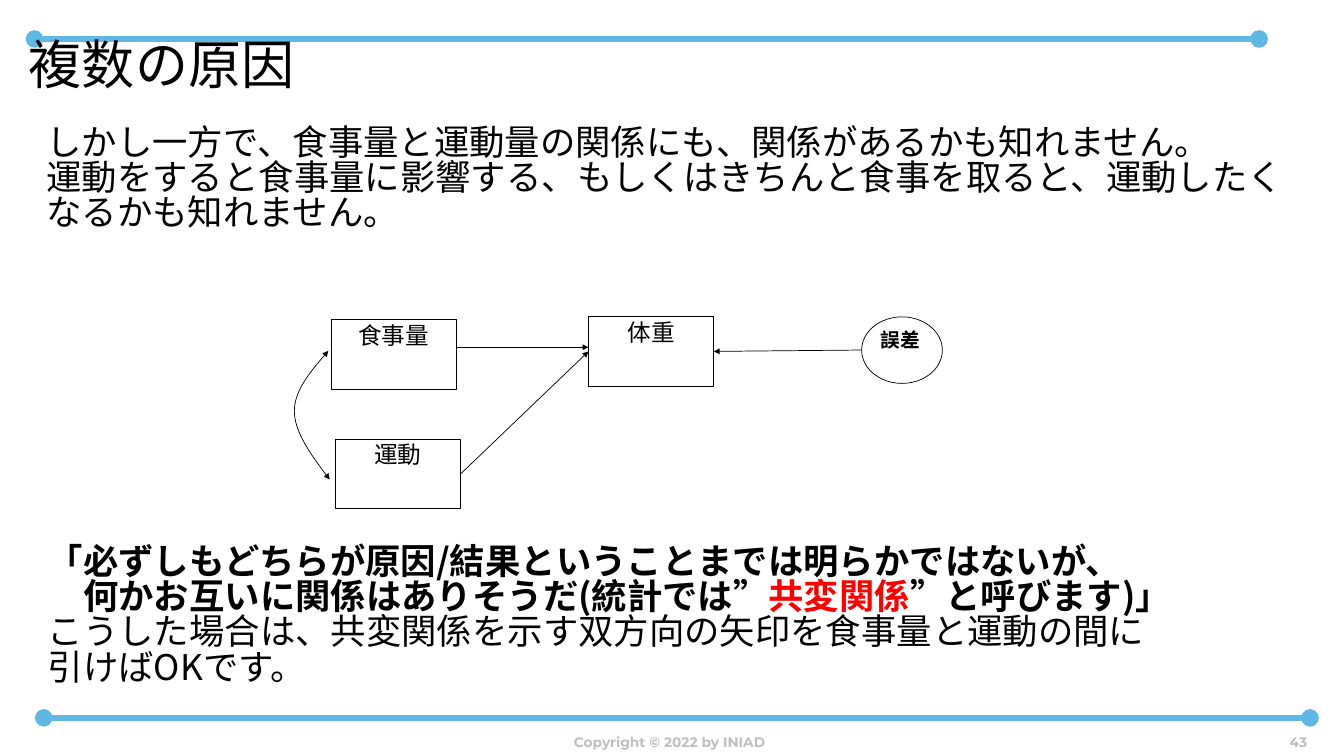
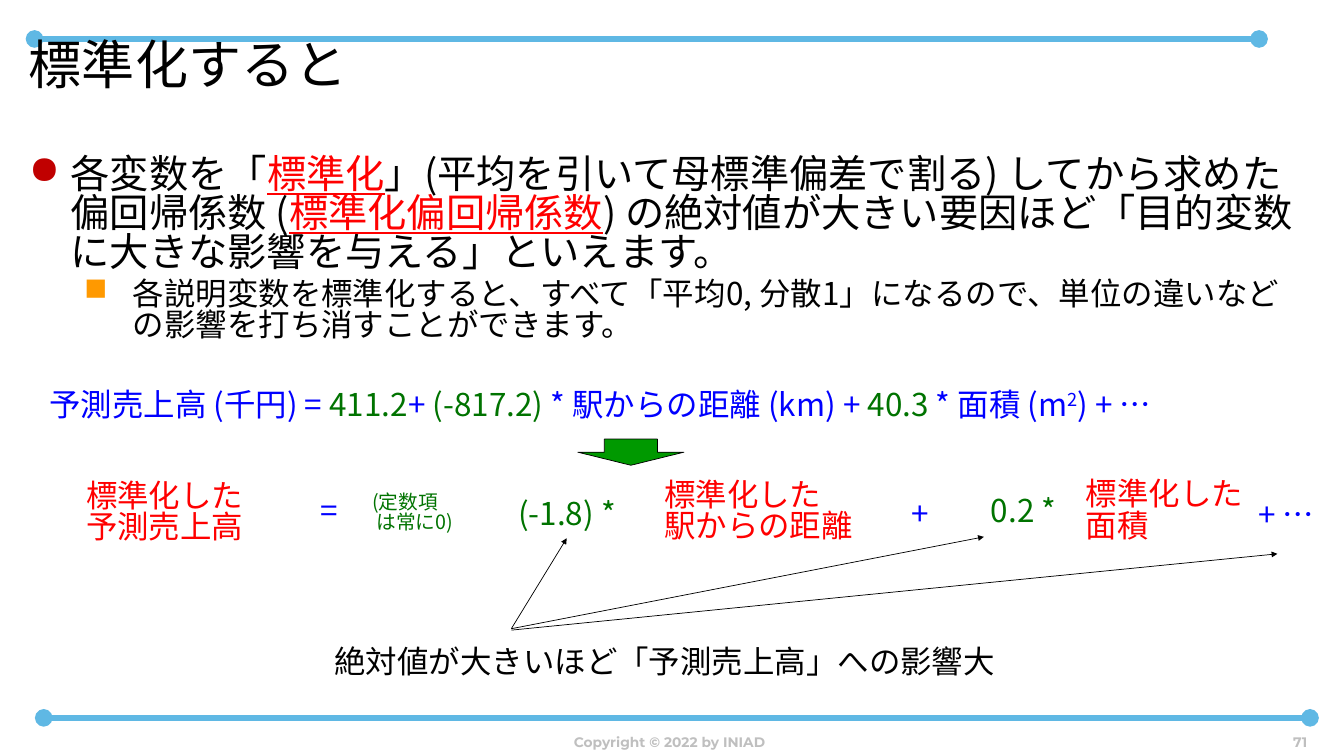
from lxml import etree
from pptx import Presentation
from pptx.dml.color import RGBColor
from pptx.enum.shapes import MSO_CONNECTOR, MSO_SHAPE
from pptx.enum.text import MSO_ANCHOR, PP_ALIGN
from pptx.oxml.ns import qn
from pptx.util import Cm, Pt

LINE = MSO_CONNECTOR.STRAIGHT
RECT, OVAL, DOWN = MSO_SHAPE.RECTANGLE, MSO_SHAPE.OVAL, MSO_SHAPE.DOWN_ARROW
LEFT, MID, RIGHT = PP_ALIGN.LEFT, PP_ALIGN.CENTER, PP_ALIGN.RIGHT
TOP, CENTER, LOW = MSO_ANCHOR.TOP, MSO_ANCHOR.MIDDLE, MSO_ANCHOR.BOTTOM

BLACK, WHITE, SKY, GRAY = "000000", "FFFFFF", "5FB8E4", "BFBFBF"
RED, BLUE, GREEN, LEAF = "FF0000", "0000FF", "007300", "009900"
SANS, HEAD, FOOT = "Noto Sans CJK JP", "League Spartan", "Montserrat"
WIDE, HIGH = 48.26, 27.15
PITCH = 0.83


def color(code):
    return RGBColor.from_string(code)


def style(run, size, hue=BLACK, font=SANS, bold=False, under=False, base=0):
    run.font.size = Pt(size)
    run.font.bold = bold
    run.font.underline = under
    run.font.color.rgb = color(hue)
    run.font.name = font
    props = run._r.get_or_add_rPr()
    etree.SubElement(props, qn("a:ea")).set("typeface", SANS)
    if base:
        props.set("baseline", str(base * 1000))


def write(frame, paras, size, align=LEFT, pitch=PITCH, **look):
    for i, parts in enumerate(paras):
        para = frame.paragraphs[0] if i == 0 else frame.add_paragraph()
        para.alignment = align
        para.line_spacing = pitch
        if isinstance(parts, str):
            parts = [(parts, {})]
        for words, extra in parts:
            run = para.add_run()
            run.text = words
            style(run, size, **{**look, **extra})


def inset(frame, size, side=0.25, edge=0.13, pitch=PITCH):
    lift = 0.003 * size if pitch < 1 else 0
    frame.margin_left = frame.margin_right = Cm(side)
    frame.margin_top, frame.margin_bottom = Cm(edge + lift), Cm(edge)


def label(slide, box, paras, size, wrap=True, anchor=TOP, side=0.25,
          edge=0.13, pitch=PITCH, **look):
    frame = slide.shapes.add_textbox(*map(Cm, box)).text_frame
    frame.word_wrap = wrap
    frame.vertical_anchor = anchor
    inset(frame, size, side, edge, pitch)
    write(frame, paras, size, pitch=pitch, **look)
    return frame


def stroke(shape, hue=BLACK, width=0.75, head=None, tail=None):
    shape.line.color.rgb = color(hue)
    shape.line.width = Pt(width)
    pen = shape.line._get_or_add_ln()
    for tag, kind in (("a:headEnd", head), ("a:tailEnd", tail)):
        if kind:
            etree.SubElement(pen, qn(tag)).set("type", kind)


def link(slide, start, end, **look):
    line = slide.shapes.add_connector(LINE, *map(Cm, (*start, *end)))
    stroke(line, **look)
    etree.SubElement(line._element.spPr, qn("a:effectLst"))


def solid(slide, kind, box, fill):
    shape = slide.shapes.add_shape(kind, *map(Cm, box))
    shape.shadow.inherit = False
    shape.fill.solid()
    shape.fill.fore_color.rgb = color(fill)
    stroke(shape)
    return shape


def node(slide, kind, box, name, size=24, align=MID, bold=False):
    frame = solid(slide, kind, box, WHITE).text_frame
    frame.word_wrap = True
    frame.vertical_anchor = TOP
    inset(frame, size)
    write(frame, [name], size, align, bold=bold)


def bezier(a, b, c, d, steps=12):
    for i in range(steps + 1):
        t = i / steps
        s = 1 - t
        yield tuple(s**3 * p + 3 * s * s * t * q + 3 * s * t * t * r + t**3 * u
                    for p, q, r, u in zip(a, b, c, d))


def curve(slide, left, top, knots):
    spots = [*bezier(*knots[:4]), *list(bezier(*knots[3:]))[1:]]
    spots = [(Cm(left + x), Cm(top + y)) for x, y in spots]
    path = slide.shapes.build_freeform(*spots[0])
    path.add_line_segments(spots[1:], close=False)
    shape = path.convert_to_shape()
    shape.shadow.inherit = False
    shape.fill.background()
    stroke(shape, head="triangle", tail="triangle")


def bullet(para, left, hang, mark, hue):
    props = para._p.get_or_add_pPr()
    props.set("marL", str(Cm(left)))
    props.set("indent", str(-Cm(hang)))
    tint = etree.SubElement(props, qn("a:buClr"))
    etree.SubElement(tint, qn("a:srgbClr")).set("val", hue)
    etree.SubElement(props, qn("a:buChar")).set("char", mark)


def base(deck, title, page):
    slide = deck.slides.add_slide(deck.slide_layouts[6])
    slide.background.fill.solid()
    slide.background.fill.fore_color.rgb = color(WHITE)
    for left, right, y in ((1.24, 45.21, 1.4), (1.57, 47.04, 25.78)):
        link(slide, (left, y), (right, y), hue=SKY, width=6,
             head="oval", tail="oval")
    label(slide, (1.04, 1.35, 44.17, 3.94), [title], 54, side=0, edge=0,
          font=HEAD)
    for box, words, align in (
        ((1.12, 25.78, 45.85, 1.3), "Copyright © 2022 by INIAD", MID),
        ((44.55, 25.81, 2.64, 1.27), str(page), RIGHT),
    ):
        label(slide, box, [words], 14, anchor=LOW, pitch=1, align=align,
              hue=GRAY, font=FOOT, bold=True)
    return slide


def graph(slide, left, top):
    def at(x, y):
        return left + x, top + y

    for name, x, y in (("食事量", 1.39, 0.1), ("体重", 10.63, 0),
                       ("運動", 1.54, 4.39)):
        node(slide, RECT, (*at(x, y), 4.5, 2.49), name)
    node(slide, OVAL, (*at(20.44, 0), 2.9, 2.39), "誤差", 20, LEFT, True)
    for start, end in (
        ((5.88, 1.09), (10.63, 1.09)),
        ((20.44, 1.19), (15.13, 1.24)),
        ((6.04, 5.64), (10.63, 1.24)),
    ):
        link(slide, at(*start), at(*end), tail="triangle")
    curve(slide, left, top, [
        (1.34, 5.84), (0.7, 5), (0.07, 4.16), (0.07, 3.38),
        (0.07, 2.62), (0.68, 1.93), (1.29, 1.22)])


def causes(deck):
    slide = base(deck, "複数の原因", 43)
    label(slide, (1.42, 4.32, 45.11, 4.88), [
        "しかし一方で、食事量と運動量の関係にも、関係があるかも知れません。",
        "運動をすると食事量に影響する、もしくはきちんと食事を取ると、運動したく",
        "なるかも知れません。"], 36)
    graph(slide, 10.5, 11.38)
    bold = {"bold": True}
    label(slide, (1.47, 19.38, 45.11, 6.4), [
        [("「必ずしもどちらが原因/結果ということまでは明らかではないが、", bold)],
        [("　何かお互いに関係はありそうだ(統計では”", bold),
         ("共変関係", {"bold": True, "hue": RED}),
         ("”と呼びます)」", bold)],
        "こうした場合は、共変関係を示す双方向の矢印を食事量と運動の間に",
        "引けばOKです。"], 36)


def points(slide, box):
    key = {"hue": RED, "under": True}
    small = "各説明変数を標準化すると、すべて「平均0, 分散1」になるので、単位の違いなどの影響を打ち消すことができます。"
    frame = label(slide, box, [
        [("各変数を「", {}), ("標準化", key),
         ("」(平均を引いて母標準偏差で割る) してから求めた偏回帰係数 (", {}),
         ("標準化偏回帰係数", key),
         (") の絶対値が大きい要因ほど「目的変数に大きな影響を与える」といえます。", {})],
        small], 40, anchor=CENTER, side=0, edge=0)
    main, sub = frame.paragraphs
    sub.level = 1
    sub.space_before = Pt(6)
    sub.runs[0].font.size = Pt(32)
    bullet(main, 1.5, 1.5, "●", "C00000")
    bullet(sub, 3.73, 1.75, "■", "FF9900")


def model(slide, box):
    blue, green = {"hue": BLUE}, {"hue": GREEN}
    label(slide, box, [[
        ("予測売上高 (千円) = ", blue), ("411.2", green), ("+ ", blue),
        ("(-817.2)", green), (" * 駅からの距離 (km) + ", blue),
        ("40.3 ", green), ("* 面積 (m", blue),
        ("2", {"hue": BLUE, "base": 30}), (") + …", blue)]], 32, wrap=False)


def terms(slide, left, top):
    def at(x, y):
        return left + x, top + y

    for x, y, wide, lines, hue, wrap in (
        (0, 0.05, 6.22, ["標準化した", "予測売上高"], RED, False),
        (20.76, 0.03, 7.34, ["標準化した", "駅からの距離"], RED, False),
        (35.9, 0, 6.22, ["標準化した", "面積"], RED, False),
        (15.52, 0.69, 4.93, ["(-1.8) *"], GREEN, False),
        (32.49, 0.61, 3.43, ["0.2 *"], GREEN, False),
        (8.41, 0.61, 1.5, ["="], BLUE, True),
        (29.65, 0.69, 1.5, ["+"], BLUE, True),
        (42.09, 0.74, 3.12, ["+ …"], BLUE, True),
    ):
        high = 0.26 + 1.37 * len(lines)
        label(slide, (*at(x, y), wide, high), lines, 32, wrap, hue=hue)
    label(slide, (*at(10.27, 0.51), 3.94, 1.96), ["(定数項", " は常に0)"], 20,
          hue=GREEN)
    for start, end in ((5.54, (17.51, 2.29)), (5.54, (32.49, 2.24)),
                       (5.59, (43.03, 2.85))):
        link(slide, at(15.52, start), at(*end), tail="triangle")
    label(slide, (*at(8.92, 6.02), 24.46, 1.63),
          ["絶対値が大きいほど「予測売上高」への影響大"], 32, wrap=False)


def scaled(deck):
    slide = base(deck, "標準化すると", 71)
    points(slide, (1.04, 4.27, 46, 9.3))
    model(slide, (1.52, 13.82, 46.05, 1.63))
    solid(slide, DOWN, (20.75, 15.77, 3.81, 0.94), LEAF)
    terms(slide, 2.84, 17.04)


def main():
    deck = Presentation()
    deck.slide_width, deck.slide_height = Cm(WIDE), Cm(HIGH)
    causes(deck)
    scaled(deck)
    deck.save("out.pptx")


if __name__ == "__main__":
    main()
